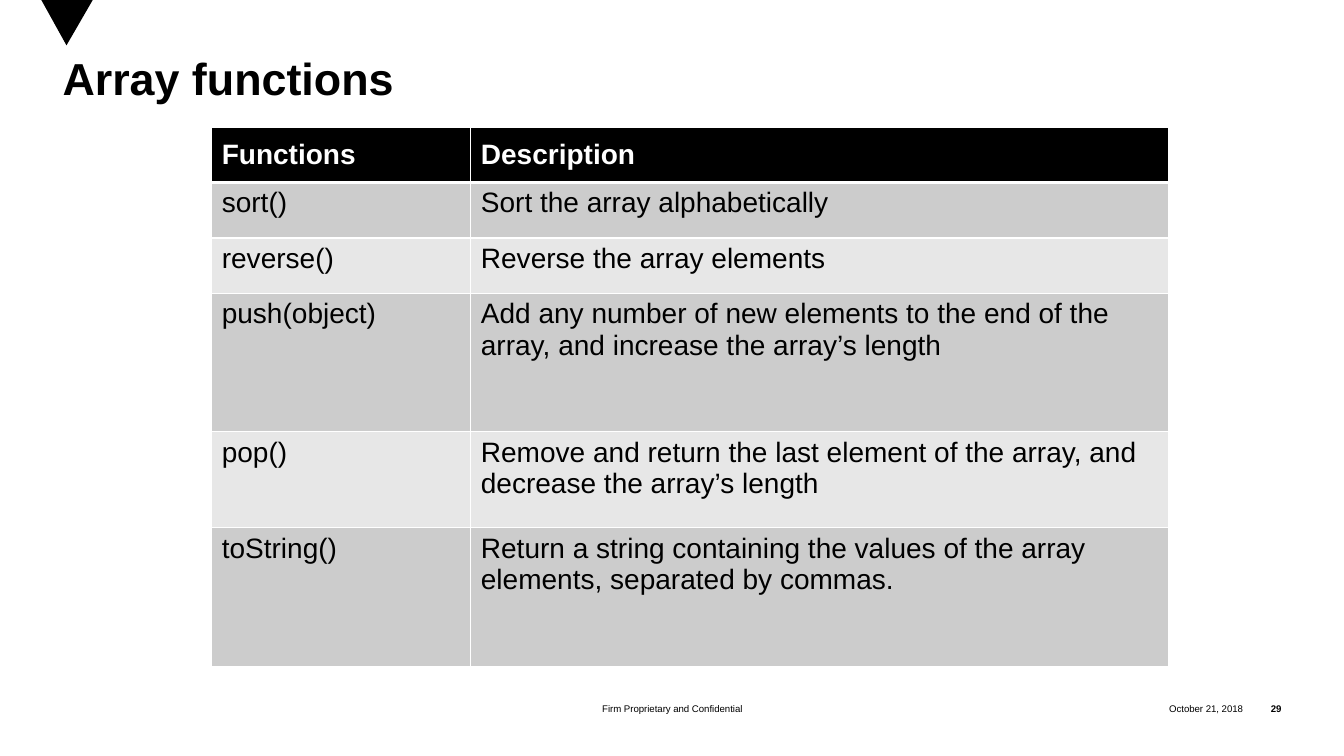
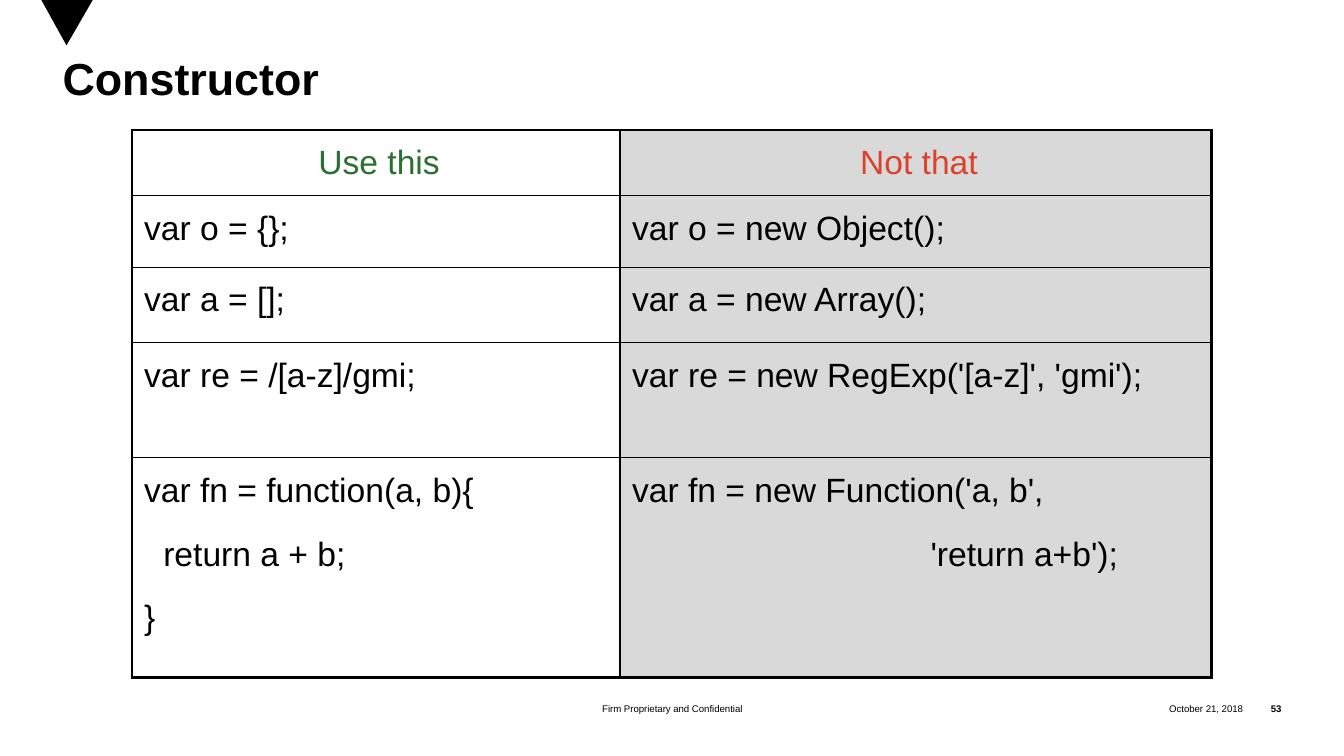
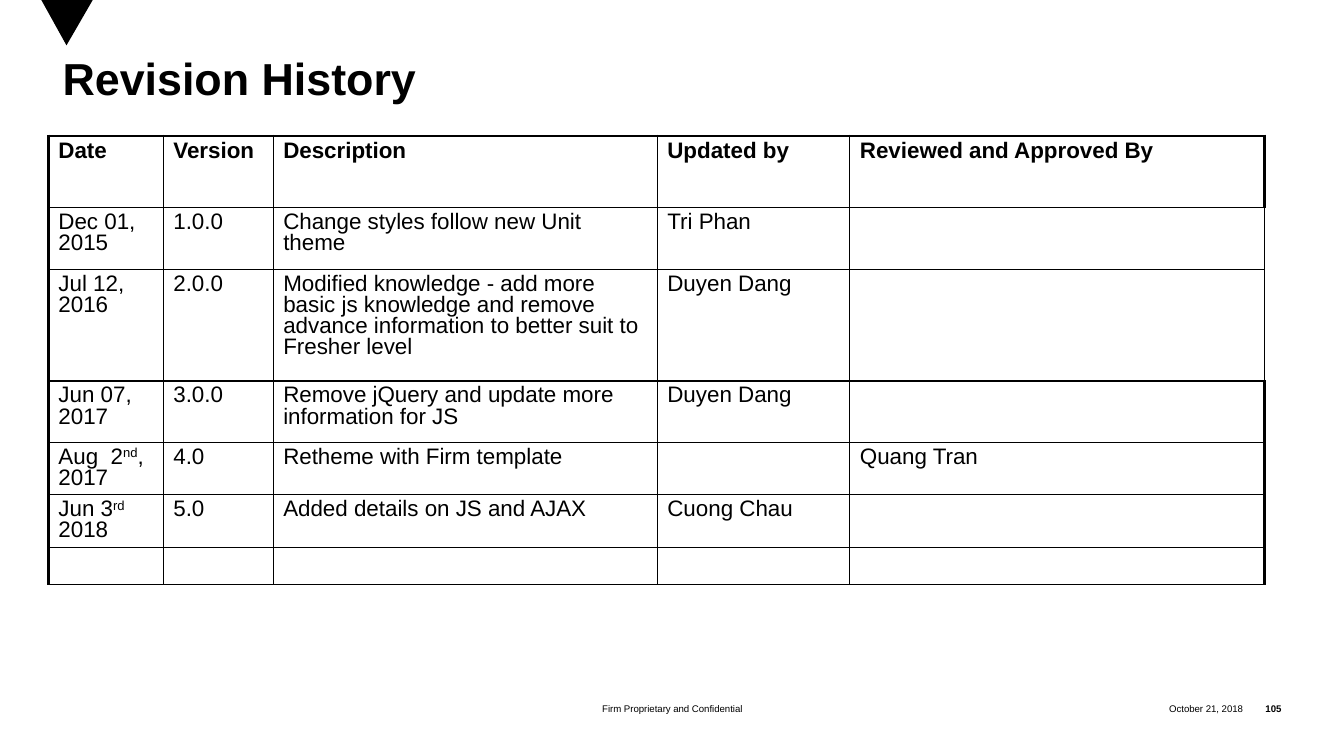
from dataclasses import dataclass

from lxml import etree
from pptx import Presentation
from pptx import util as u
from pptx.dml.color import RGBColor
from pptx.enum import text as t
from pptx.oxml import ns


@dataclass(frozen=True)
class Theme:
    font: str = "Arial"
    ink: str = "000000"
    paper: str = "FFFFFF"
    dark: str = "CCCCCC"
    light: str = "E7E7E7"
    shade: str = "D9D9D9"
    good: str = "2B6F31"
    bad: str = "DC422A"
    head: float = 32
    code: float = 24
    body: float = 20
    note: float = 16
    foot: float = 6.9
    thin: float = 1
    bold: float = 2.25
    thick: float = 3


T = Theme()
WIDE, HIGH = 13.33, 7.5
LEFT, MID, RIGHT = t.PP_ALIGN.LEFT, t.PP_ALIGN.CENTER, t.PP_ALIGN.RIGHT
TOP, CENTER = t.MSO_ANCHOR.TOP, t.MSO_ANCHOR.MIDDLE


# Text: each line is a paragraph, and ^marks^ enclose superscript
def put(frame, text, size=T.body, color=T.ink, bold=False, align=LEFT,
        space=1.0, before=0, indents=()):
    for i, line in enumerate(text.split("\n")):
        para = frame.paragraphs[0] if i == 0 else frame.add_paragraph()
        para.alignment = align
        para.line_spacing = space
        para.space_before = u.Pt(before)
        if i < len(indents):
            para._p.get_or_add_pPr().set("marL", str(u.Inches(indents[i])))
        if not line:
            etree.SubElement(para._p, ns.qn("a:endParaRPr"), sz=str(int(size * 100)))
            continue
        for n, part in enumerate(line.split("^")):
            run = para.add_run()
            run.text = part
            font = run.font
            font.name, font.size, font.bold = T.font, u.Pt(size), bold
            font.color.rgb = RGBColor.from_string(color)
            if n % 2:
                run._r.get_or_add_rPr().set("baseline", "30000")


def pad(frame, anchor):
    frame.margin_left = frame.margin_right = 0
    frame.margin_top = frame.margin_bottom = 0
    frame.word_wrap = True
    frame.auto_size = t.MSO_AUTO_SIZE.NONE
    frame.vertical_anchor = anchor


def place(shape, box):
    shape.left, shape.top, shape.width, shape.height = map(u.Inches, box)


# Footer: one strip along the bottom of the slide
def foot(slide, left, width, text, **fmt):
    box = slide.shapes.add_textbox(0, 0, 0, 0)
    place(box, (left, 0.921 * HIGH, width, 0.25))
    pad(box.text_frame, CENTER)
    put(box.text_frame, text, size=T.foot, **fmt)
    return box


# Parts that all slides share are moved to the layout
def brand(layout, slide):
    for spot in list(layout.placeholders)[1:]:
        spot.element.getparent().remove(spot.element)
    pen = slide.shapes.build_freeform(u.Inches(0.41), 0)
    pen.add_line_segments([(u.Inches(0.66), u.Inches(0.45)), (u.Inches(0.92), 0)])
    mark = pen.convert_to_shape()
    mark.shadow.inherit = False
    mark.fill.solid()
    mark.fill.fore_color.rgb = RGBColor.from_string(T.ink)
    mark.line.fill.background()
    date = foot(slide, 10.84, 1.49, "October 21, 2018", align=RIGHT)
    owner = foot(slide, 4.38, 4.58, "Firm Proprietary and Confidential", align=MID)
    for part in (mark, date, owner):
        layout.shapes.element.append(part.element)


def start(deck, title, page):
    layout = deck.slide_layouts[5]
    slide = deck.slides.add_slide(layout)
    if len(deck.slides) == 1:
        brand(layout, slide)
    head = slide.shapes.title
    place(head, (0.62, 0.58, 12.08, 1.29))
    pad(head.text_frame, TOP)
    put(head.text_frame, title, size=T.head, bold=True, space=0.85)
    foot(slide, 12.33, 0.38, page, bold=True, align=RIGHT)
    return slide


# Table: cols and rows are shares of the box; across and down give line widths
def edge(cell, side, width, color):
    line = etree.SubElement(cell._tc.get_or_add_tcPr(), ns.qn("a:ln" + side),
                            w=str(u.Pt(width)))
    fill = etree.SubElement(line, ns.qn("a:solidFill"))
    etree.SubElement(fill, ns.qn("a:srgbClr"), val=color)


def grid(slide, box, cols, rows, data, look, fill, across, down,
         line=T.ink, inset=(0.1, 0.1), anchor=lambda r: TOP):
    area = [u.Inches(v) for v in box]
    table = slide.shapes.add_table(len(rows), len(cols), *area).table
    table.first_row = table.horz_banding = False
    for col, share in zip(table.columns, cols):
        col.width = int(area[2] * share / sum(cols))
    for row, share in zip(table.rows, rows):
        row.height = int(area[3] * share / sum(rows))
    for r, texts in enumerate(data):
        for c, text in enumerate(texts):
            cell = table.cell(r, c)
            cell.margin_left, cell.margin_right = map(u.Inches, inset)
            cell.margin_top = cell.margin_bottom = u.Inches(0.05)
            cell.vertical_anchor = anchor(r)
            for side, width in (("L", down(r, c)), ("R", down(r, c + 1)),
                                ("T", across(r)), ("B", across(r + 1))):
                edge(cell, side, width, line)
            tint = fill(r, c)
            if tint:
                cell.fill.solid()
                cell.fill.fore_color.rgb = RGBColor.from_string(tint)
            else:
                cell.fill.background()
            put(cell.text_frame, text, **look(r, c))


def arrays(deck):
    slide = start(deck, "Array functions", "29")
    data = [
        ("Functions", "Description"),
        ("sort()", "Sort the array alphabetically"),
        ("reverse()", "Reverse the array elements"),
        ("push(object)", "Add any number of new elements to the end of the "
                         "array, and increase the array’s length"),
        ("pop()", "Remove and return the last element of the array, and "
                  "decrease the array’s length"),
        ("toString()", "Return a string containing the values of the array "
                       "elements, separated by commas."),
    ]
    grid(slide, (2.1, 1.26, 9.49, 5.35), (2.57, 6.92),
         (0.55, 0.55, 0.55, 1.37, 0.95, 1.37), data,
         look=lambda r, c: dict(bold=r == 0, color=T.ink if r else T.paper),
         fill=lambda r, c: (T.dark if r % 2 else T.light) if r else T.ink,
         across=lambda i: T.thick if i == 1 else T.thin,
         down=lambda r, j: T.thin, line=T.paper,
         anchor=lambda r: TOP if r else CENTER)


def makers(deck):
    slide = start(deck, "Constructor", "53")
    data = [
        ("Use this", "Not that"),
        ("var o = {};", "var o = new Object();"),
        ("var a = [];", "var a = new Array();"),
        ("var re = /[a-z]/gmi;", "var re = new RegExp('[a-z]', 'gmi');"),
        ("var fn = function(a, b){\nreturn a + b;\n}",
         "var fn = new Function('a, b',\n'return a+b');"),
    ]

    def look(r, c):
        fmt = dict(size=T.code, space=1.25, before=12)
        if r == 0:
            fmt.update(align=MID, color=(T.good, T.bad)[c])
        if r == len(data) - 1:
            fmt.update(indents=(0, (0.19, 2.96)[c]))
        return fmt

    grid(slide, (1.31, 1.29, 10.71, 5.43), (4.84, 5.87),
         (0.65, 0.71, 0.75, 1.14, 2.18), data, look,
         fill=lambda r, c: T.shade if c else None,
         across=lambda i: T.bold if i in (0, len(data)) else T.thin,
         down=lambda r, j: T.thin if j == 1 else T.bold,
         inset=(0.12, 0.06))


def history(deck):
    slide = start(deck, "Revision History", "105")
    data = [
        ("Date", "Version", "Description", "Updated by", "Reviewed and Approved By"),
        ("Dec 01, 2015", "1.0.0", "Change styles follow new Unit theme", "Tri Phan", ""),
        ("Jul 12, 2016", "2.0.0",
         "Modified knowledge - add more basic js knowledge and remove advance "
         "information to better suit to Fresher level", "Duyen Dang", ""),
        ("Jun 07, 2017", "3.0.0", "Remove jQuery and update more information for JS",
         "Duyen Dang", ""),
        ("Aug  2^nd^, 2017", "4.0", "Retheme with Firm template", "", "Quang Tran"),
        ("Jun 3^rd^ 2018", "5.0", "Added details on JS and AJAX", "Cuong Chau", ""),
        ("",) * 5,
    ]

    def down(r, j):
        outer = j == 0 or (j == 5 and r not in (1, 2))
        return T.bold if outer else T.thin

    grid(slide, (0.48, 1.35, 12.06, 4.44), (1.14, 1.09, 3.81, 1.91, 4.11),
         (0.71, 0.61, 1.11, 0.61, 0.52, 0.52, 0.36), data,
         look=lambda r, c: dict(size=T.note, bold=r == 0, space=0.85, before=5.6),
         fill=lambda r, c: None,
         across=lambda i: T.thin if i else T.bold, down=down)


def main():
    deck = Presentation()
    deck.slide_width, deck.slide_height = u.Inches(WIDE), u.Inches(HIGH)
    for build in (arrays, makers, history):
        build(deck)
    deck.save("out.pptx")


if __name__ == "__main__":
    main()
